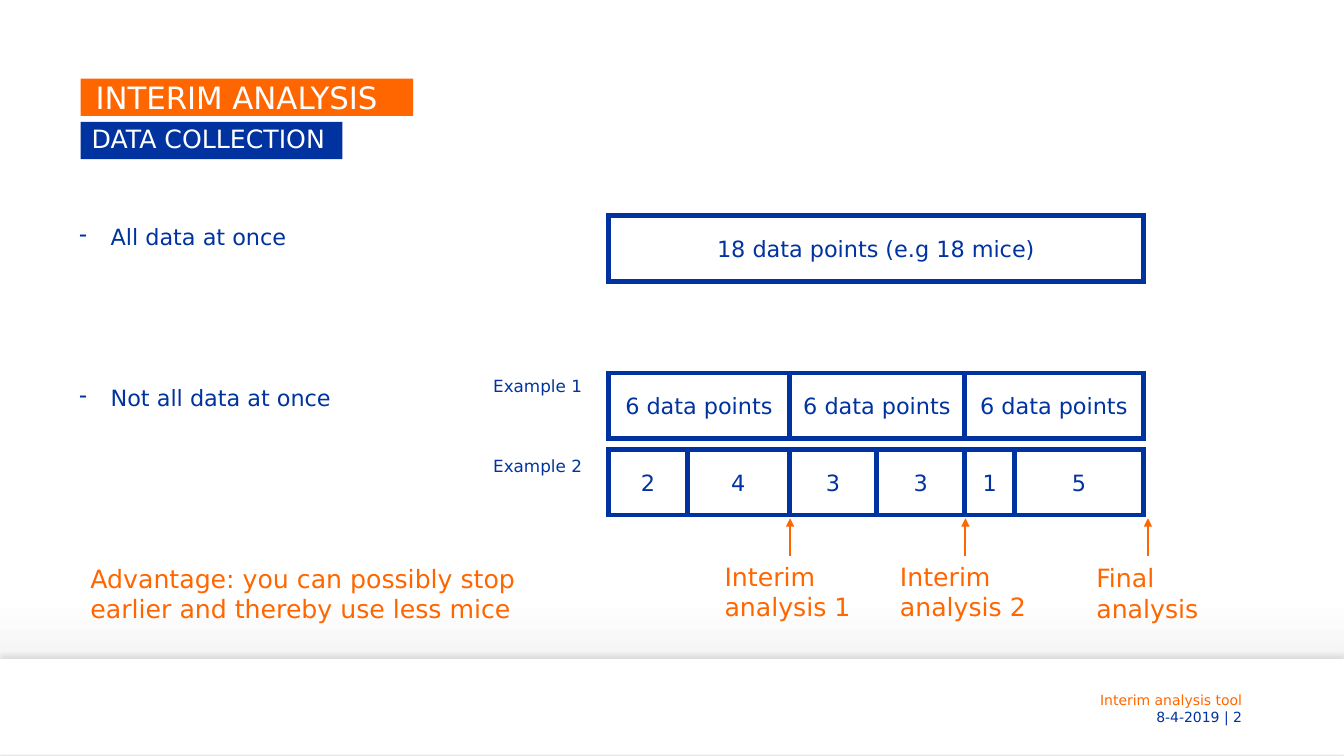
from lxml import etree
from pptx import Presentation
from pptx.dml.color import RGBColor
from pptx.enum.shapes import MSO_CONNECTOR, MSO_SHAPE
from pptx.enum.text import MSO_ANCHOR, PP_ALIGN
from pptx.oxml import parse_xml
from pptx.oxml.ns import nsdecls, qn
from pptx.util import Cm, Pt

RECTANGLE = MSO_SHAPE.RECTANGLE
STRAIGHT = MSO_CONNECTOR.STRAIGHT
LEFT, CENTER, RIGHT = PP_ALIGN.LEFT, PP_ALIGN.CENTER, PP_ALIGN.RIGHT
TOP, MIDDLE, BOTTOM = MSO_ANCHOR.TOP, MSO_ANCHOR.MIDDLE, MSO_ANCHOR.BOTTOM

FONT = "DejaVu Sans"
WHITE = RGBColor(0xFF, 0xFF, 0xFF)
PALE_GREY = RGBColor(0xED, 0xED, 0xED)
ORANGE = RGBColor(0xFF, 0x66, 0x00)
BLUE = RGBColor(0x00, 0x33, 0x9F)
BOX_BLUE = RGBColor(0x00, 0x33, 0xA0)

# Lengths in cm
BAR_LEFT, BAR_RIGHT, BAR_HEIGHT = 15.34, 28.81, 1.65
INTERIM_1, INTERIM_2 = 19.89, 24.31
DATA_ROWS = [
    (5.44, [BAR_LEFT, BAR_RIGHT], ["18 data points (e.g 18 mice)"]),
    (9.4, [BAR_LEFT, INTERIM_1, INTERIM_2, BAR_RIGHT], ["6 data points"] * 3),
    (11.33, [BAR_LEFT, 17.32, INTERIM_1, 22.1, INTERIM_2, 25.57, BAR_RIGHT],
     ["2", "4", "3", "3", "1", "5"]),
]
# Arrow position, label left, label top, label width, label
ANALYSES = [
    (19.91, 18.01, 14.02, 3.81, "Interim \nanalysis 1"),
    (24.33, 22.43, 14.02, 3.81, "Interim \nanalysis 2"),
    (28.93, 27.38, 14.05, 3.1, "Final \nanalysis"),
]


def set_text(shape, text, size, color, align=LEFT, anchor=TOP,
             insets=(0.25, 0.13, 0.25, 0.13)):
    frame = shape.text_frame
    frame.text = text
    frame.word_wrap = True
    frame.vertical_anchor = anchor
    (frame.margin_left, frame.margin_top,
     frame.margin_right, frame.margin_bottom) = map(Cm, insets)
    for paragraph in frame.paragraphs:
        paragraph.alignment = align
        for run in paragraph.runs:
            run.font.name = FONT
            run.font.size = Pt(size)
            run.font.color.rgb = color
    return frame


def add_text(slide, left, top, width, height, text, size, color, **layout):
    box = slide.shapes.add_textbox(Cm(left), Cm(top), Cm(width), Cm(height))
    return set_text(box, text, size, color, **layout)


def add_block(slide, left, top, width, height, fill):
    block = slide.shapes.add_shape(
        RECTANGLE, Cm(left), Cm(top), Cm(width), Cm(height))
    block.shadow.inherit = False
    block.fill.solid()
    block.fill.fore_color.rgb = fill
    block.line.fill.background()
    return block


def add_data_row(slide, top, edges, labels):
    for left, right, label in zip(edges, edges[1:], labels):
        cell = add_block(slide, left, top, right - left, BAR_HEIGHT, WHITE)
        cell.line.color.rgb = BOX_BLUE
        cell.line.width = Pt(3.5)
        # Square corners on the outline
        etree.SubElement(cell.line._ln, qn("a:miter"), lim="800000")
        set_text(cell, label, 16, BOX_BLUE, align=CENTER, anchor=MIDDLE)


def add_up_arrow(slide, x, bottom, top):
    arrow = slide.shapes.add_connector(
        STRAIGHT, Cm(x), Cm(bottom), Cm(x), Cm(top))
    arrow.line.color.rgb = ORANGE
    arrow.line.width = Pt(1.5)
    etree.SubElement(arrow.line._ln, qn("a:tailEnd"), type="triangle")
    etree.SubElement(arrow._element.spPr, qn("a:effectLst"))


def add_dash_list(slide, left, top, width, height, items, gap):
    frame = add_text(slide, left, top, width, height, "\n".join(items), 16, BLUE)
    for index, paragraph in enumerate(frame.paragraphs):
        paragraph.line_spacing = 0.95
        paragraph.space_before = Pt(gap if index else 0)
        properties = paragraph._p.get_or_add_pPr()
        properties.set("marL", str(Cm(0.79)))
        properties.set("indent", str(-Cm(0.79)))
        etree.SubElement(properties, qn("a:buChar"), char="-")


def paint_background(slide):
    fill = slide.background.fill
    fill.gradient()
    fill.gradient_angle = 270
    for stop, position, color in zip(
            fill.gradient_stops, (0.79, 0.92), (WHITE, PALE_GREY)):
        stop.position = position
        stop.color.rgb = color


def add_footer(slide):
    band = add_block(slide, 0, 16.61, 33.87, 2.41, WHITE)
    properties = band._element.spPr
    properties.remove(properties.find(qn("a:effectLst")))
    properties.append(parse_xml(
        f'<a:effectLst {nsdecls("a")}>'
        f'<a:outerShdw blurRad="{Pt(4)}" dist="{Pt(3)}" dir="16200000" rotWithShape="0">'
        '<a:srgbClr val="000000"><a:alpha val="10000"/></a:srgbClr>'
        '</a:outerShdw></a:effectLst>'))
    for top, text, color in [(17.4, "Interim analysis tool", ORANGE),
                             (17.85, "8-4-2019 | 2", BLUE)]:
        add_text(slide, 23.93, top, 7.62, 0.45, text, 10, color,
                 align=RIGHT, anchor=MIDDLE, insets=(0.25, 0, 0.25, 0))


def main():
    presentation = Presentation()
    presentation.slide_width = Cm(33.87)
    presentation.slide_height = Cm(19.05)
    slide = presentation.slides.add_slide(presentation.slide_layouts[6])
    paint_background(slide)
    add_footer(slide)

    # Headings
    title = add_block(slide, 2.03, 1.98, 8.38, 0.94, ORANGE)
    title_frame = set_text(title, "INTERIM ANALYSIS", 22, WHITE,
                           anchor=BOTTOM, insets=(0.38, 0.1, 0.25, 0))
    title_frame.paragraphs[0].line_spacing = 0.9
    subtitle = add_block(slide, 2.03, 3.07, 6.6, 0.94, BLUE)
    subtitle_frame = set_text(subtitle, "DATA COLLECTION", 18, WHITE,
                              insets=(0.28, 0.1, 0, 0.1))
    subtitle_frame.paragraphs[0].line_spacing = 0.95

    # Ways of collecting data
    add_dash_list(slide, 1.75, 5.54, 10.08, 7.47,
                  ["All data at once", "Not all data at once"], gap=97)
    for top, example in [(9.35, "Example 1"), (11.36, "Example 2")]:
        add_text(slide, 12.18, top, 2.84, 0.76, example, 12, BOX_BLUE)
    for top, edges, labels in DATA_ROWS:
        add_data_row(slide, top, edges, labels)

    # Moments of analysis
    for x, left, top, width, label in ANALYSES:
        add_up_arrow(slide, x, 14.02, 13.06)
        add_text(slide, left, top, width, 1.8, label, 18, ORANGE)
    add_text(slide, 2.03, 14.07, 13.31, 1.8,
             "Advantage: you can possibly stop earlier and thereby use less mice",
             18, ORANGE)

    presentation.save("out.pptx")


if __name__ == "__main__":
    main()
